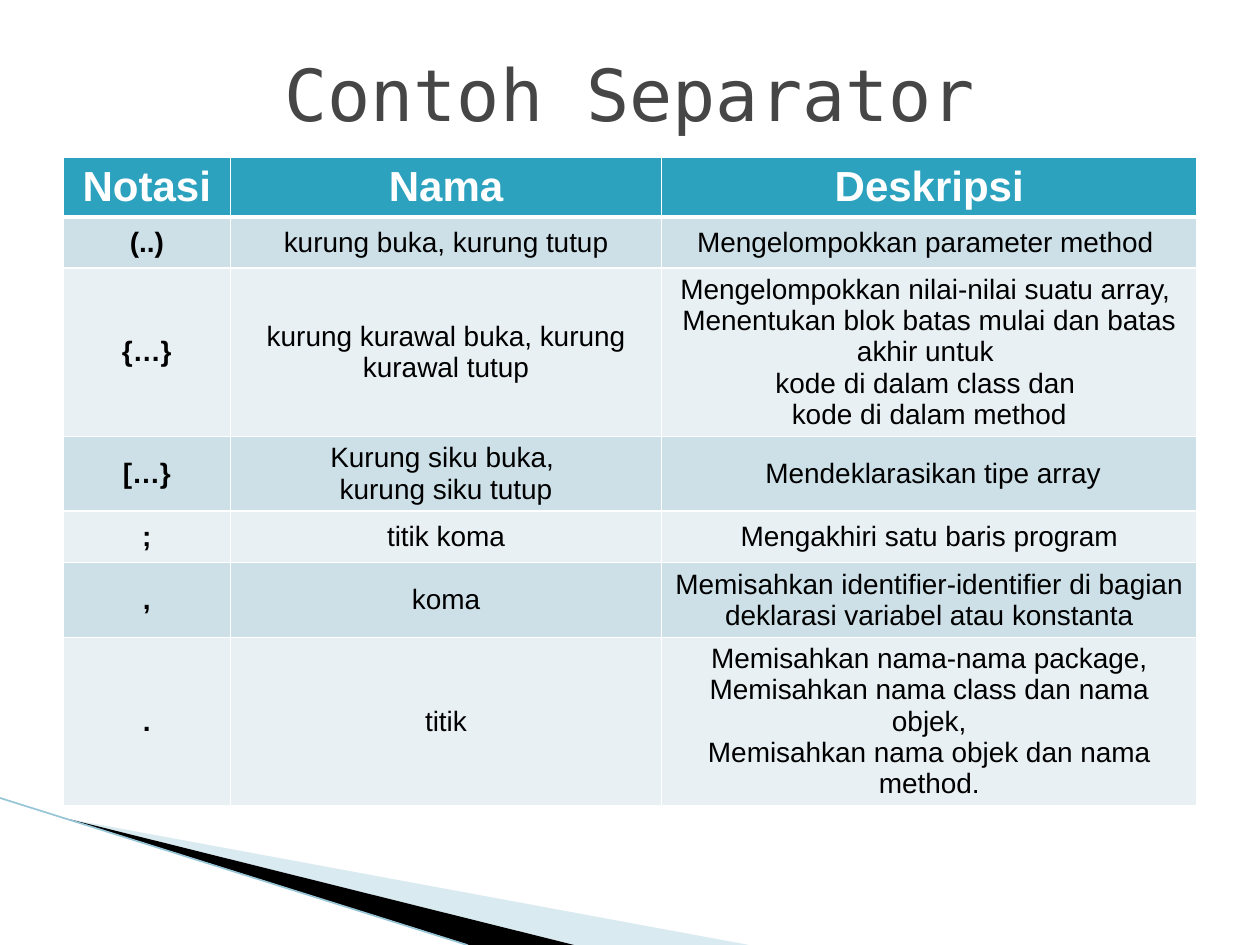
from lxml.etree import SubElement
from pptx import Presentation
from pptx.dml.color import RGBColor
from pptx.enum.shapes import MSO_CONNECTOR
from pptx.enum.text import MSO_ANCHOR, MSO_AUTO_SIZE, PP_ALIGN
from pptx.oxml import parse_xml
from pptx.oxml.ns import nsdecls, qn
from pptx.util import Pt

WHITE = RGBColor(0xFF, 0xFF, 0xFF)
BLACK = RGBColor(0x00, 0x00, 0x00)
GREY = RGBColor(0x46, 0x46, 0x46)
TEAL = RGBColor(0x2D, 0xA2, 0xBF)
BAND_DARK = RGBColor(0xCD, 0xE0, 0xE8)
BAND_LIGHT = RGBColor(0xE8, 0xF0, 0xF4)
WEDGE_BLUE = RGBColor(0xA0, 0xCB, 0xDC)
EDGE_BLUE = RGBColor(0x97, 0xC5, 0xD8)

HEADINGS = ("Notasi", "Nama", "Deskripsi")
SEPARATORS = [
    ("(..)", "kurung buka, kurung tutup", "Mengelompokkan parameter method "),
    ("{…}", "kurung kurawal buka, kurung kurawal tutup",
     "Mengelompokkan nilai-nilai suatu array, \n"
     "Menentukan blok batas mulai dan batas akhir untuk \n"
     "kode di dalam class dan \n"
     "kode di dalam method"),
    ("[…}", "Kurung siku buka, \nkurung siku tutup",
     " Mendeklarasikan tipe array"),
    (";", "titik koma", "Mengakhiri satu baris program"),
    (",", "koma",
     "Memisahkan identifier-identifier di bagian deklarasi variabel atau konstanta"),
    (".", "titik",
     "Memisahkan nama-nama package,\n"
     "Memisahkan nama class dan nama objek,\n"
     "Memisahkan nama objek dan nama method."),
]
COLUMN_WIDTHS = (95.8, 246.2, 306)
ROW_HEIGHT = 29.3


def format_text(frame, color, **values):
    for para in frame.paragraphs:
        para.alignment = PP_ALIGN.CENTER
        for span in para.runs:
            for name, value in values.items():
                setattr(span.font, name, value)
            span.font.color.rgb = color


def place(shape, left, top, width, height):
    box = {"left": left, "top": top, "width": width, "height": height}
    for name, value in box.items():
        setattr(shape, name, Pt(value))


def add_wedge(page, points, color, opacity=100):
    start, *others = [(Pt(x), Pt(y)) for x, y in points]
    builder = page.shapes.build_freeform(*start)
    builder.add_line_segments(others, close=True)
    wedge = builder.convert_to_shape()
    wedge.shadow.inherit = False
    wedge.fill.solid()
    wedge.fill.fore_color.rgb = color
    wedge.line.fill.background()
    if opacity < 100:
        fill_color = wedge.fill._xPr.find(".//" + qn("a:srgbClr"))
        SubElement(fill_color, qn("a:alpha"), val=str(opacity * 1000))


def add_corner(page, left, top, bottom):
    """Wedges that fan out from the left edge to the foot of the page."""
    tip = (left + 39, top + 12)
    add_wedge(page, [tip, (left + 428, bottom), (left + 328, bottom)],
              WEDGE_BLUE, opacity=40)
    add_wedge(page, [tip, (left + 328, bottom), (left + 268, bottom)], BLACK)
    edge = page.shapes.add_connector(
        MSO_CONNECTOR.STRAIGHT, Pt(left), Pt(top), Pt(left + 267), Pt(bottom))
    edge.line.color.rgb = EDGE_BLUE
    edge.line.width = Pt(0.95)
    SubElement(edge._element.spPr, qn("a:effectLst"))


def add_title(page, text, box):
    title = page.shapes.title
    place(title, *box)
    frame = title.text_frame
    frame.text = text
    frame.auto_size = MSO_AUTO_SIZE.NONE
    frame.vertical_anchor = MSO_ANCHOR.MIDDLE
    format_text(frame, GREY, name="DejaVu Sans Mono", size=Pt(41))


def set_borders(cell, widths):
    properties = cell._tc.get_or_add_tcPr()
    for index, (side, width) in enumerate(widths.items()):
        properties.insert(index, parse_xml(
            f'<a:ln{side} {nsdecls("a")} w="{Pt(width)}"><a:solidFill>'
            f'<a:srgbClr val="{WHITE}"/></a:solidFill></a:ln{side}>'))


def add_separator_table(page, box):
    rows = [HEADINGS, *SEPARATORS]
    frame = page.shapes.add_table(
        len(rows), len(HEADINGS), *(Pt(length) for length in box))
    table = frame.table
    for column, width in zip(table.columns, COLUMN_WIDTHS):
        column.width = Pt(width)
    # Rows grow with their text
    for row in table.rows:
        row.height = Pt(ROW_HEIGHT)
    place(frame, *box)

    for r, texts in enumerate(rows):
        is_header = r == 0
        fill = TEAL if is_header else BAND_DARK if r % 2 else BAND_LIGHT
        for c, text in enumerate(texts):
            cell = table.cell(r, c)
            cell.text = text
            cell.fill.solid()
            cell.fill.fore_color.rgb = fill
            cell.vertical_anchor = MSO_ANCHOR.TOP if is_header else MSO_ANCHOR.MIDDLE
            format_text(cell.text_frame, WHITE if is_header else BLACK,
                        name="Arial", size=Pt(24 if is_header else 16),
                        bold=is_header or c == 0)
            set_borders(cell, {"L": 1, "R": 1, "T": 3 if r == 1 else 1,
                               "B": 3 if is_header else 1})


def main():
    deck = Presentation()
    deck.slide_width, deck.slide_height = Pt(720), Pt(540)
    page = deck.slides.add_slide(deck.slide_layouts[5])
    page.background.fill.solid()
    page.background.fill.fore_color.rgb = WHITE

    add_corner(page, left=0, top=456, bottom=540)
    add_separator_table(page, (36, 90, 648, 423.4))
    add_title(page, "Contoh Separator", (36, 21.6, 648, 62.6))
    deck.save("out.pptx")


if __name__ == "__main__":
    main()
